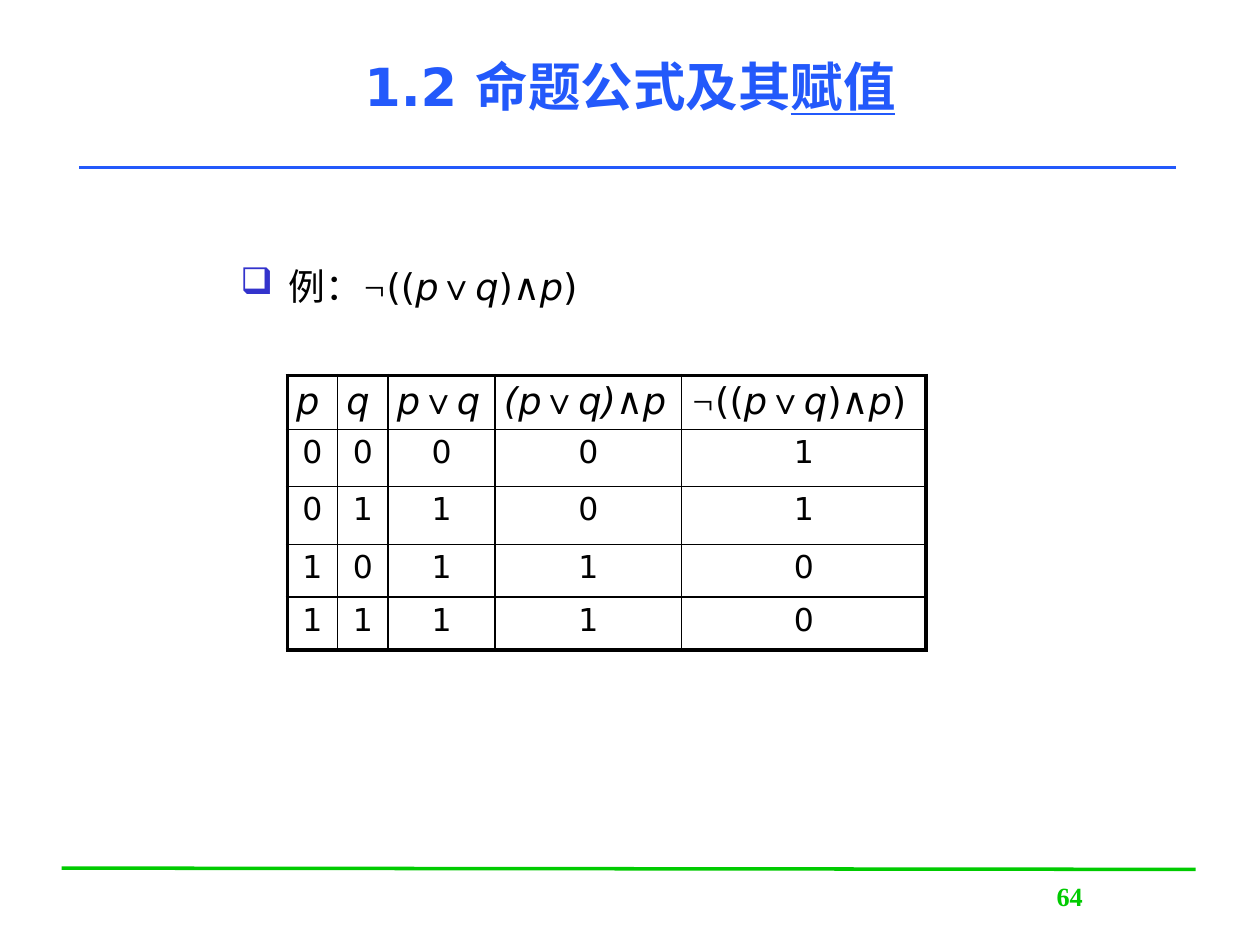
from itertools import groupby

from lxml.etree import SubElement
from pptx import Presentation
from pptx.dml.color import RGBColor
from pptx.enum.shapes import MSO_CONNECTOR as Connector
from pptx.enum.text import MSO_ANCHOR as Anchor, PP_ALIGN as Align
from pptx.oxml import parse_xml
from pptx.oxml.ns import nsdecls, qn
from pptx.util import Inches, Pt

COLORS = {
    "title": "2359FB",
    "footer": "00CB00",
    "bullet": "3333CC",
    "ink": "000000",
}
SANS, SERIF = "DejaVu Sans", "Times New Roman"
FORMULA = "¬((p∨q)∧p)"
HEADERS = ["p", "q", "p∨q", "(p∨q)∧p", FORMULA]
TRUTH_ROWS = ["00001", "01101", "10110", "11110"]
COLUMN_WIDTHS = [0.4, 0.4, 0.85, 1.48, 1.94]
ROW_HEIGHTS = [0.42, 0.45, 0.46, 0.42, 0.42]
THIN, THICK = Pt(1), Pt(2.25)


def add_span(para, text, color, **formats):
    span = para.add_run()
    span.text = text
    span.font.color.rgb = RGBColor.from_string(COLORS[color])
    for name, value in formats.items():
        setattr(span.font, name, value)


def add_formula(para, formula, italic_marks="pq¬"):
    def style(mark):
        return SERIF if mark in "¬∨" else SANS, mark in italic_marks

    for (name, italic), marks in groupby(formula, style):
        add_span(para, "".join(marks), "ink", size=Pt(21), name=name, italic=italic)


def set_margins(frame, side, edge):
    frame.margin_left = frame.margin_right = Inches(side)
    frame.margin_top = frame.margin_bottom = Inches(edge)


def add_rule(page, start, end, color):
    rule = page.shapes.add_connector(
        Connector.STRAIGHT, *(Inches(value) for value in start + end)
    )
    rule.line.color.rgb = RGBColor.from_string(COLORS[color])
    rule.line.width = Pt(2)
    SubElement(rule._element.spPr, qn("a:effectLst"))


def add_title(page, left, top, width, height):
    title = page.shapes.title
    title.left, title.top = Inches(left), Inches(top)
    title.width, title.height = Inches(width), Inches(height)
    frame = title.text_frame
    frame.vertical_anchor = Anchor.MIDDLE
    set_margins(frame, 0.1, 0.05)
    para = frame.paragraphs[0]
    para.alignment = Align.CENTER
    formats = {"size": Pt(30), "name": SANS, "bold": True}
    add_span(para, "1.2 命题公式及其", "title", **formats)
    add_span(para, "赋值", "title", underline=True, **formats)


def add_example(page, left, top, width, height):
    box = page.shapes.add_textbox(
        Inches(left), Inches(top), Inches(width), Inches(height)
    )
    frame = box.text_frame
    frame.word_wrap = True
    set_margins(frame, 0.1, 0.05)
    para = frame.paragraphs[0]
    properties = para._p.get_or_add_pPr()
    properties.set("marL", str(Inches(0.38)))
    properties.set("indent", str(-Inches(0.38)))
    bullet_color = SubElement(properties, qn("a:buClr"))
    SubElement(bullet_color, qn("a:srgbClr"), val=COLORS["bullet"])
    SubElement(properties, qn("a:buChar"), char="❑")
    add_span(para, "例：", "ink", size=Pt(21), name=SERIF)
    add_formula(para, FORMULA)


def set_borders(cell, widths):
    properties = cell._tc.get_or_add_tcPr()
    for index, (side, width) in enumerate(zip("LRTB", widths)):
        border = parse_xml(
            f'<a:ln{side} {nsdecls("a")} w="{width}"><a:solidFill>'
            f'<a:srgbClr val="{COLORS["ink"]}"/></a:solidFill></a:ln{side}>'
        )
        properties.insert(index, border)


def add_truth_table(page, left, top):
    rows, columns = len(ROW_HEIGHTS), len(COLUMN_WIDTHS)
    frame = page.shapes.add_table(
        rows, columns, Inches(left), Inches(top),
        Inches(sum(COLUMN_WIDTHS)), Inches(sum(ROW_HEIGHTS)),
    )
    table = frame.table
    table.first_row = table.horz_banding = False
    for column, width in zip(table.columns, COLUMN_WIDTHS):
        column.width = Inches(width)
    for row, height in zip(table.rows, ROW_HEIGHTS):
        row.height = Inches(height)
    for r, values in enumerate([HEADERS, *TRUTH_ROWS]):
        for c, value in enumerate(values):
            cell = table.cell(r, c)
            set_margins(cell, 0.07, 0.04)
            cell.fill.background()
            outer = [c == 0, c == columns - 1, r == 0, r == rows - 1]
            set_borders(cell, [THICK if edge else THIN for edge in outer])
            para = cell.text_frame.paragraphs[0]
            if r == 0:
                add_formula(para, value, "pq()" if c == 3 else "pq¬")
            else:
                para.alignment = Align.CENTER
                add_span(para, value, "ink", size=Pt(18), name=SANS)


def add_page_number(page, left, top, width, height):
    box = page.shapes.add_textbox(
        Inches(left), Inches(top), Inches(width), Inches(height)
    )
    frame = box.text_frame
    frame.word_wrap = True
    set_margins(frame, 0.07, 0.04)
    para = frame.paragraphs[0]
    para.alignment = Align.CENTER
    add_span(para, "64", "footer", size=Pt(15), name=SERIF, bold=True)


def main():
    deck = Presentation()
    deck.slide_width, deck.slide_height = Inches(10), Inches(7.5)
    page = deck.slides.add_slide(deck.slide_layouts[5])
    add_rule(page, (0.49, 6.89), (9.49, 6.9), "footer")
    add_rule(page, (0.63, 1.33), (9.33, 1.33), "title")
    add_page_number(page, 7.7, 6.95, 1.58, 0.5)
    add_title(page, 0.75, 0.05, 8.5, 1.25)
    add_example(page, 1.81, 2.04, 6.49, 4.02)
    add_truth_table(page, 2.28, 2.98)
    deck.save("out.pptx")


if __name__ == "__main__":
    main()
